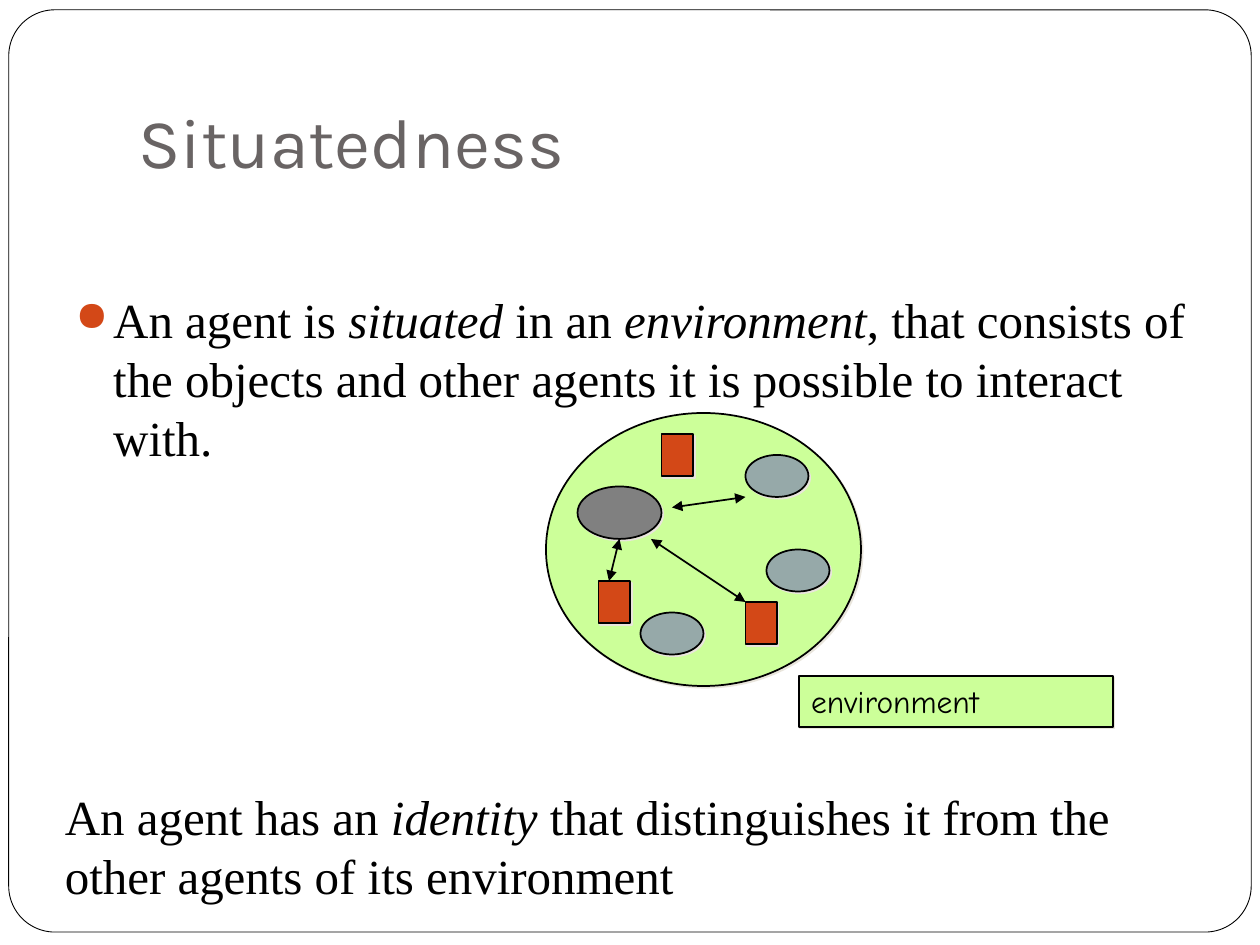
from lxml.etree import SubElement
from pptx import Presentation
from pptx.dml.color import RGBColor
from pptx.enum.shapes import MSO_CONNECTOR, MSO_SHAPE
from pptx.enum.text import MSO_ANCHOR, PP_ALIGN
from pptx.oxml.ns import qn
from pptx.util import Pt

BLACK = "000000"
WHITE = "FFFFFF"
LIME = "CCFF99"
ORANGE = "D34817"
SLATE = "96A9A9"
GRAY = "808080"
TITLE_GRAY = "696464"
SHADOW = "E9E5DC"
SERIF = "Times New Roman"


def color(value):
    return RGBColor.from_string(value)


def add_shadow(shape):
    """Give the shape a hard shadow toward the lower right."""
    effects = shape._element.spPr.find(qn("a:effectLst"))
    shadow = SubElement(effects, qn("a:outerShdw"), blurRad="0",
                        dist=str(Pt(1.4)), dir=str(45 * 60000),
                        algn="ctr", rotWithShape="0")
    SubElement(shadow, qn("a:srgbClr"), val=SHADOW)


def add_figure(page, kind, bounds, fill, line_width=1, shadow=True):
    shape = page.shapes.add_shape(kind, *map(Pt, bounds))
    shape.shadow.inherit = False
    shape.fill.solid()
    shape.fill.fore_color.rgb = color(fill)
    shape.line.color.rgb = color(BLACK)
    shape.line.width = Pt(line_width)
    if shadow:
        add_shadow(shape)
    return shape


def add_double_arrow(page, start, end):
    arrow = page.shapes.add_connector(MSO_CONNECTOR.STRAIGHT,
                                      *map(Pt, start + end))
    arrow.line.color.rgb = color(BLACK)
    arrow.line.width = Pt(1)
    line = arrow.line._get_or_add_ln()
    for tag in ("a:headEnd", "a:tailEnd"):
        SubElement(line, qn(tag), type="triangle")
    SubElement(arrow._element.spPr, qn("a:effectLst"))


def add_bullet(para):
    properties = para._p.get_or_add_pPr()
    properties.set("marL", str(Pt(21.6)))
    properties.set("indent", str(Pt(-21.6)))
    bullet_color = SubElement(properties, qn("a:buClr"))
    SubElement(bullet_color, qn("a:srgbClr"), val=ORANGE)
    SubElement(properties, qn("a:buSzPct"), val="85000")
    SubElement(properties, qn("a:buChar"), char="●")


def write(shape, runs, font, size, ink=BLACK, anchor=MSO_ANCHOR.TOP,
          bottom=3.6, bullet=False):
    """Fill the shape with one paragraph of (text, italic) runs."""
    frame = shape.text_frame
    frame.word_wrap = True
    frame.vertical_anchor = anchor
    frame.margin_left = frame.margin_right = Pt(7.2)
    frame.margin_top = Pt(3.6)
    frame.margin_bottom = Pt(bottom)
    para = frame.paragraphs[0]
    para.alignment = PP_ALIGN.LEFT
    if bullet:
        add_bullet(para)
    for text, italic in runs:
        span = para.add_run()
        span.text = text
        span.font.name = font
        span.font.size = Pt(size)
        span.font.italic = italic
        span.font.color.rgb = color(ink)


def add_text(page, bounds, runs, font, size, **options):
    box = page.shapes.add_textbox(*map(Pt, bounds))
    write(box, runs, font, size, **options)


def add_environment(page):
    add_figure(page, MSO_SHAPE.OVAL, (312, 236, 180, 156), LIME)
    add_figure(page, MSO_SHAPE.OVAL, (330, 278, 48, 30), GRAY)
    for left, top in ((366, 350), (426, 260), (438, 314)):
        add_figure(page, MSO_SHAPE.OVAL, (left, top, 36, 24), SLATE)
    for left, top in ((342, 332), (378, 248), (426, 344)):
        add_figure(page, MSO_SHAPE.RECTANGLE, (left, top, 18, 24), ORANGE)
    for start, end in (((372, 308), (426, 344)),
                       ((384, 290), (426, 284)),
                       ((354, 308), (348, 332))):
        add_double_arrow(page, start, end)
    label = add_figure(page, MSO_SHAPE.RECTANGLE, (456.4, 386.4, 179.5, 29),
                       LIME)
    write(label, [("environment", False)], "Comic Neue", 18)


def main():
    deck = Presentation()
    deck.slide_width, deck.slide_height = Pt(720), Pt(540)
    page = deck.slides.add_slide(deck.slide_layouts[6])

    border = add_figure(page, MSO_SHAPE.ROUNDED_RECTANGLE,
                        (5, 5.6, 710, 527), WHITE, 0.5, shadow=False)
    border.adjustments[0] = 0.05
    add_text(page, (72, 21.6, 612, 90), [("Situatedness", False)],
             "Karla", 40, ink=TITLE_GRAY, anchor=MSO_ANCHOR.BOTTOM, bottom=7.2)
    add_text(page, (36, 162, 669, 264), [
        ("An agent is ", False),
        ("situated", True),
        (" in an ", False),
        ("environment", True),
        (", that consists of the objects and other agents it is possible "
         "to interact with.", False),
    ], SERIF, 28, bullet=True)
    add_environment(page)
    add_text(page, (30, 446, 648, 75), [
        ("An agent has an ", False),
        ("identity ", True),
        ("that distinguishes it from the other agents of its environment",
         False),
    ], SERIF, 28)
    deck.save("out.pptx")


if __name__ == "__main__":
    main()
